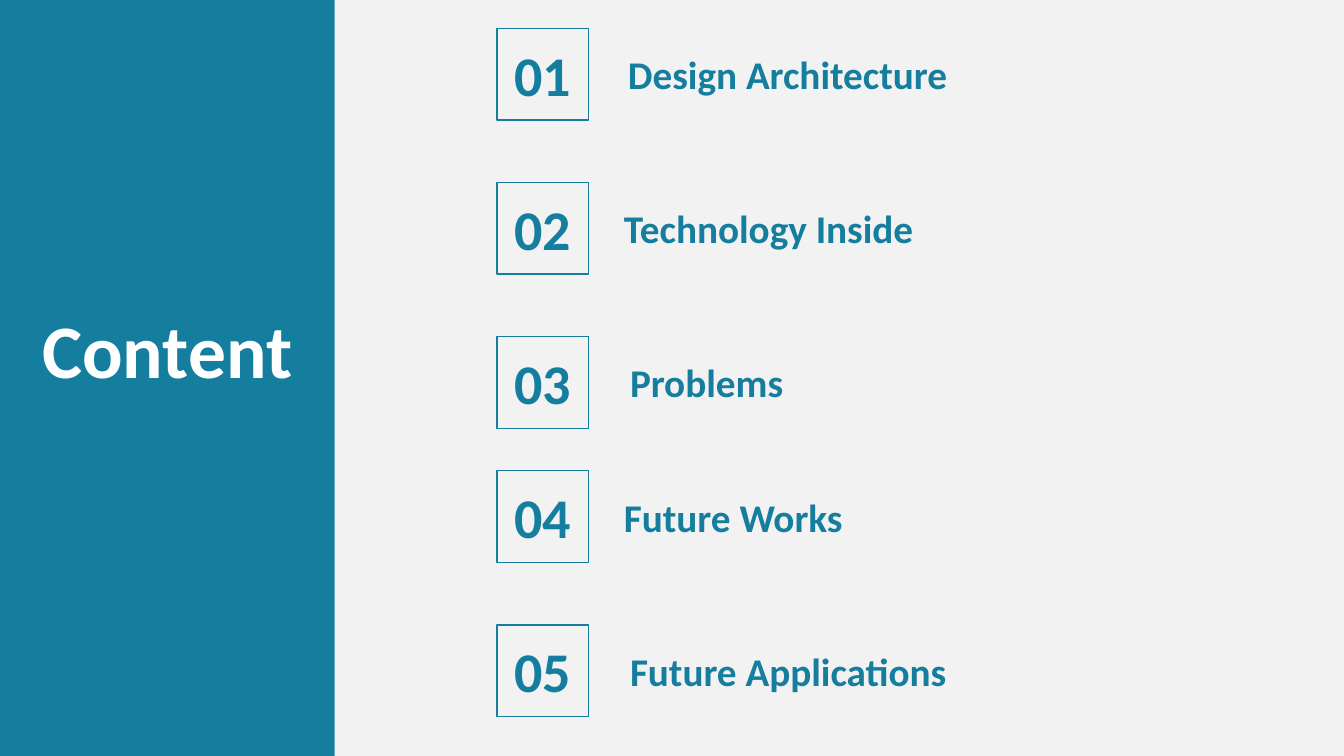
from dataclasses import dataclass

from pptx import Presentation
from pptx.dml.color import RGBColor
from pptx.enum.shapes import MSO_SHAPE
from pptx.enum.text import MSO_ANCHOR, MSO_AUTO_SIZE, PP_ALIGN
from pptx.util import Inches, Pt

RECT = MSO_SHAPE.RECTANGLE
LEFT, CENTER = PP_ALIGN.LEFT, PP_ALIGN.CENTER
TOP = MSO_ANCHOR.TOP
GROW = MSO_AUTO_SIZE.SHAPE_TO_FIT_TEXT

FONT = "Calibri"
TEAL, WHITE, GRAY = "157E9F", "FFFFFF", "F2F2F2"
BOX_LEFT, BOX_SIZE = 4.93, 0.91


@dataclass
class Topic:
    name: str
    top: float
    left: float
    width: float


TOPICS = [
    Topic("Design Architecture", 0.28, 6.13, 4.12),
    Topic("Technology Inside", 1.81, 6.09, 4.4),
    Topic("Problems", 3.34, 6.15, 5.31),
    Topic("Future Works", 4.67, 6.09, 4.4),
    Topic("Future Applications", 6.2, 6.15, 5.31),
]


def color(code: str) -> RGBColor:
    return RGBColor.from_string(code)


def write(shape, text: str, *, size: float, ink: str = TEAL,
          align=LEFT, wrap: bool = True) -> None:
    frame = shape.text_frame
    frame.word_wrap = wrap
    frame.auto_size = GROW
    frame.vertical_anchor = TOP
    par = frame.paragraphs[0]
    par.alignment = align
    run = par.add_run()
    run.text = text
    font = run.font
    font.name, font.size, font.bold = FONT, Pt(size), True
    font.color.rgb = color(ink)


def add_label(slide, text: str, left: float, top: float, width: float,
              height: float, **style) -> None:
    box = slide.shapes.add_textbox(
        Inches(left), Inches(top), Inches(width), Inches(height))
    write(box, text, **style)


def add_rect(slide, left: float, top: float, width: float, height: float,
             fill: str | None = None, line: str | None = None):
    rect = slide.shapes.add_shape(
        RECT, Inches(left), Inches(top), Inches(width), Inches(height))
    rect.shadow.inherit = False
    if fill:
        rect.fill.solid()
        rect.fill.fore_color.rgb = color(fill)
    else:
        rect.fill.background()
    if line:
        rect.line.color.rgb = color(line)
        rect.line.width = Pt(1)
    else:
        rect.line.fill.background()
    return rect


def add_title(slide) -> None:
    """Place the title on a side panel that lies behind it."""
    title = slide.shapes.title
    title.left, title.top = Inches(0.32), Inches(2.96)
    title.width, title.height = Inches(2.71), Inches(1.01)
    write(title, "Content", size=54, ink=WHITE, wrap=False)
    panel = add_rect(slide, 0, 0, 3.32, 7.5, fill=TEAL)
    title.element.addprevious(panel.element)


def add_topic(slide, number: int, topic: Topic) -> None:
    add_label(slide, topic.name, topic.left, topic.top + 0.17,
              topic.width, 0.57, size=28)
    add_label(slide, f"{number:02}", BOX_LEFT, topic.top + 0.07,
              BOX_SIZE, 0.77, size=40, align=CENTER)
    add_rect(slide, BOX_LEFT, topic.top, BOX_SIZE, BOX_SIZE, line=TEAL)


def main() -> None:
    deck = Presentation()
    deck.slide_width, deck.slide_height = Inches(13.33), Inches(7.5)
    slide = deck.slides.add_slide(deck.slide_layouts.get_by_name("Title Only"))
    back = slide.background.fill
    back.solid()
    back.fore_color.rgb = color(GRAY)
    add_title(slide)
    for number, topic in enumerate(TOPICS, 1):
        add_topic(slide, number, topic)
    deck.save("out.pptx")


if __name__ == "__main__":
    main()
